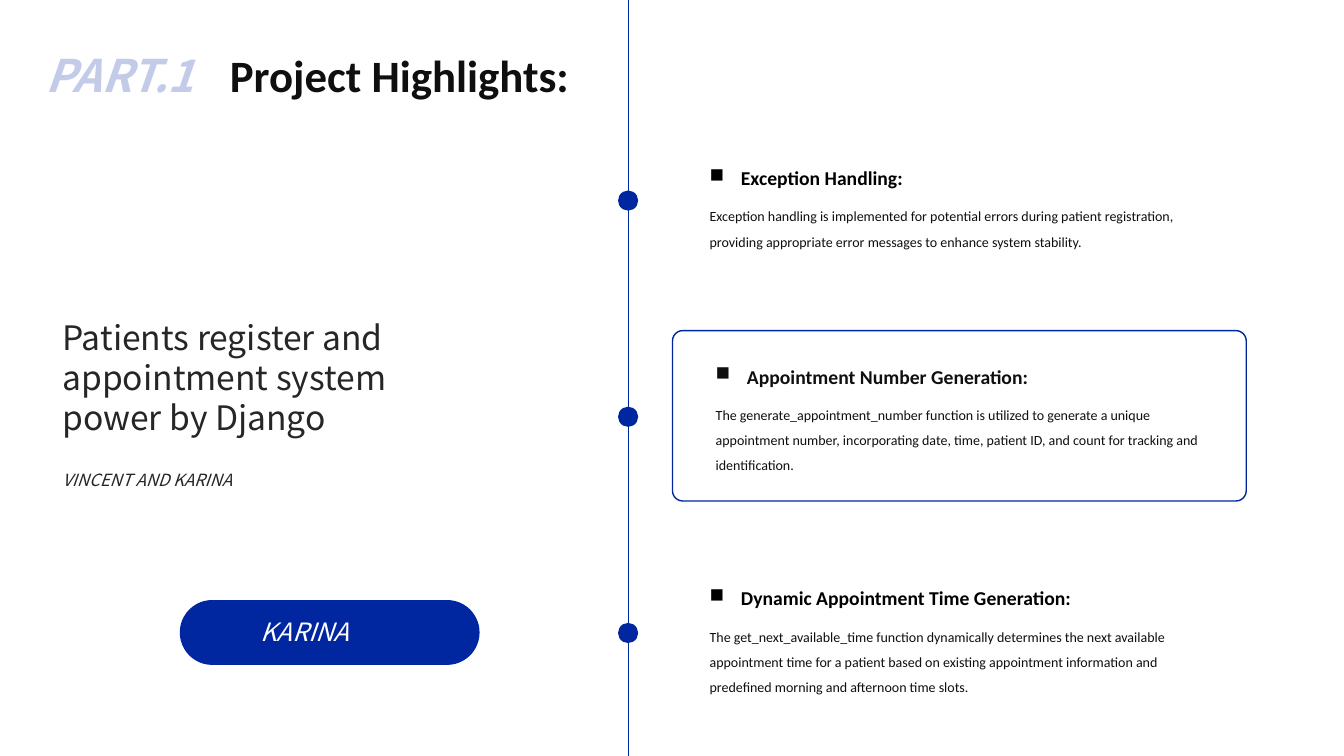
from lxml import etree
from pptx import Presentation
from pptx.dml.color import RGBColor
from pptx.enum.shapes import MSO_CONNECTOR, MSO_SHAPE
from pptx.enum.text import MSO_ANCHOR, MSO_AUTO_SIZE, PP_ALIGN
from pptx.oxml.ns import qn
from pptx.util import Inches, Pt

STRAIGHT = MSO_CONNECTOR.STRAIGHT
OVAL, ROUNDED = MSO_SHAPE.OVAL, MSO_SHAPE.ROUNDED_RECTANGLE
TOP, LEFT = MSO_ANCHOR.TOP, PP_ALIGN.LEFT
GROW = MSO_AUTO_SIZE.SHAPE_TO_FIT_TEXT

COLORS = {"blue": "0026A0", "ink": "0F0F0F", "gray": "262626",
          "black": "000000", "white": "FFFFFF"}
SANS, CJK = "Calibri", "Noto Sans CJK SC"


def write(shape, box, text, size, color, font=SANS, bold=False, italic=False, spacing=1.0):
    """Place a text shape and give all its paragraphs one format."""
    shape.left, shape.top, shape.width, shape.height = map(Inches, box)
    frame = shape.text_frame
    frame.text = text
    frame.word_wrap = True
    frame.auto_size = GROW
    frame.vertical_anchor = TOP
    for paragraph in frame.paragraphs:
        paragraph.alignment = LEFT
        paragraph.line_spacing = spacing
        paragraph.font.name = font
        paragraph.font.size = Pt(size)
        paragraph.font.bold = bold
        paragraph.font.italic = italic
        paragraph.font.color.rgb = RGBColor.from_string(COLORS[color])
    return frame.paragraphs[0]


def add_blue_shape(kind, box, filled=True, line_width=None):
    shape = slide.shapes.add_shape(kind, *map(Inches, box))
    shape.shadow.inherit = False
    if filled:
        shape.fill.solid()
        shape.fill.fore_color.rgb = blue
    else:
        shape.fill.background()
    if line_width:
        shape.line.color.rgb = blue
        shape.line.width = Pt(line_width)
    else:
        shape.line.fill.background()
    return shape


blue = RGBColor.from_string(COLORS["blue"])
prs = Presentation()
prs.slide_width, prs.slide_height = Inches(13.33), Inches(7.5)
slide = prs.slides.add_slide(prs.slide_layouts[5])
new_textbox = slide.shapes.add_textbox

# Heading
write(slide.shapes.title, (2.18, 0.42, 7.68, 0.64), "Project Highlights:", 32, "ink", bold=True)
part = write(new_textbox(0, 0, 0, 0), (0.35, 0.42, 7.24, 0.64), "PART.1", 32, "blue",
             CJK, bold=True, italic=True)
part_color = part.font.fill._xPr.find(qn("a:solidFill"))[0]
etree.SubElement(part_color, qn("a:alpha"), val="24000")

# Project name and authors
write(new_textbox(0, 0, 0, 0), (0.52, 4.61, 4.39, 0.38), "VINCENT AND KARINA", 12, "gray",
      CJK, italic=True)
write(new_textbox(0, 0, 0, 0), (0.52, 3.09, 5.34, 1.64),
      "Patients register and appointment system\npower by Django", 24, "gray", CJK)

# Presenter button
add_blue_shape(ROUNDED, (1.79, 5.96, 2.96, 0.63), line_width=1).adjustments[0] = 0.5
write(new_textbox(0, 0, 0, 0), (2.49, 6.07, 1.4, 0.4), "KARINA", 18, "white", CJK, italic=True)

# Timeline
timeline_x, dot = 6.23, 0.2
timeline = slide.shapes.add_connector(STRAIGHT, Inches(timeline_x), 0,
                                      Inches(timeline_x), prs.slide_height)
timeline.line.color.rgb = blue
timeline.line.width = Pt(0.5)
etree.SubElement(timeline._element.spPr, qn("a:effectLst"))
for step in range(3):
    add_blue_shape(OVAL, (timeline_x - dot / 2, 1.89 + 2.145 * step, dot, dot))

# Highlights: left, top, heading colour, heading, description
highlights = [
    (6.94, 1.48, "black", "Exception Handling:",
     "Exception handling is implemented for potential errors during patient registration, "
     "providing appropriate error messages to enhance system stability."),
    (7.0, 3.45, "ink", "Appointment Number Generation:",
     "The generate_appointment_number function is utilized to generate a unique appointment "
     "number, incorporating date, time, patient ID, and count for tracking and identification."),
    (6.94, 5.65, "black", "Dynamic Appointment Time Generation:",
     "The get_next_available_time function dynamically determines the next available "
     "appointment time for a patient based on existing appointment information and "
     "predefined morning and afternoon time slots."),
]
for left, top, color, heading, description in highlights:
    bulleted = write(new_textbox(0, 0, 0, 0), (left, top, 4.11, 0.42), heading, 14, color,
                     bold=True, spacing=1.5)
    properties = bulleted._p.get_or_add_pPr()
    indent = Inches(0.31)
    properties.set("marL", str(indent))
    properties.set("indent", str(-indent))
    bullet = etree.Element(qn("a:buChar"), char="■")
    properties.find(qn("a:lnSpc")).addnext(bullet)
    write(new_textbox(0, 0, 0, 0), (left, top + 0.45, 5.19, 0.83), description, 10, "ink",
          spacing=1.5)

# Frame around the middle highlight
add_blue_shape(ROUNDED, (6.67, 3.28, 5.69, 1.69), filled=False, line_width=1).adjustments[0] = 0.06

prs.save("out.pptx")
